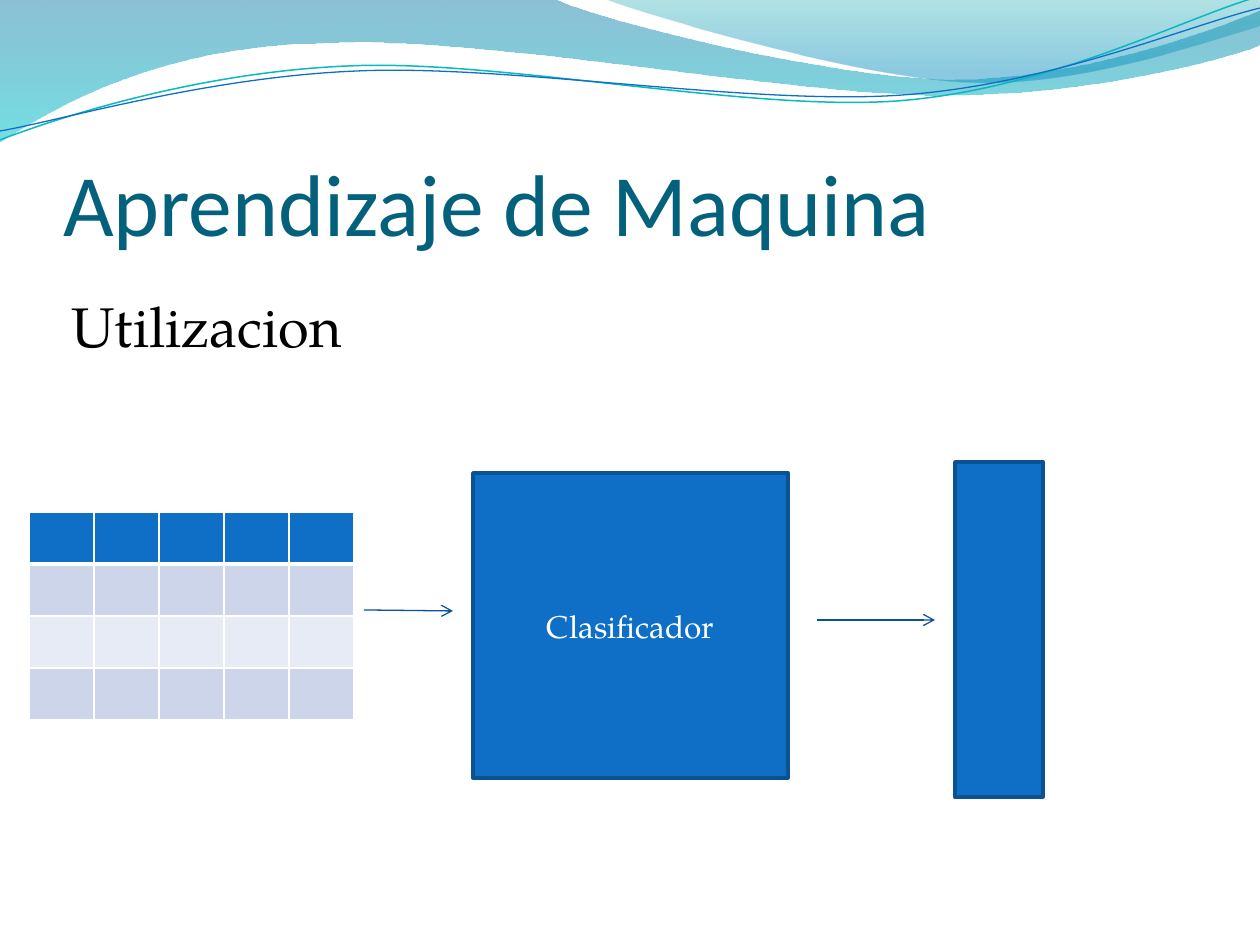
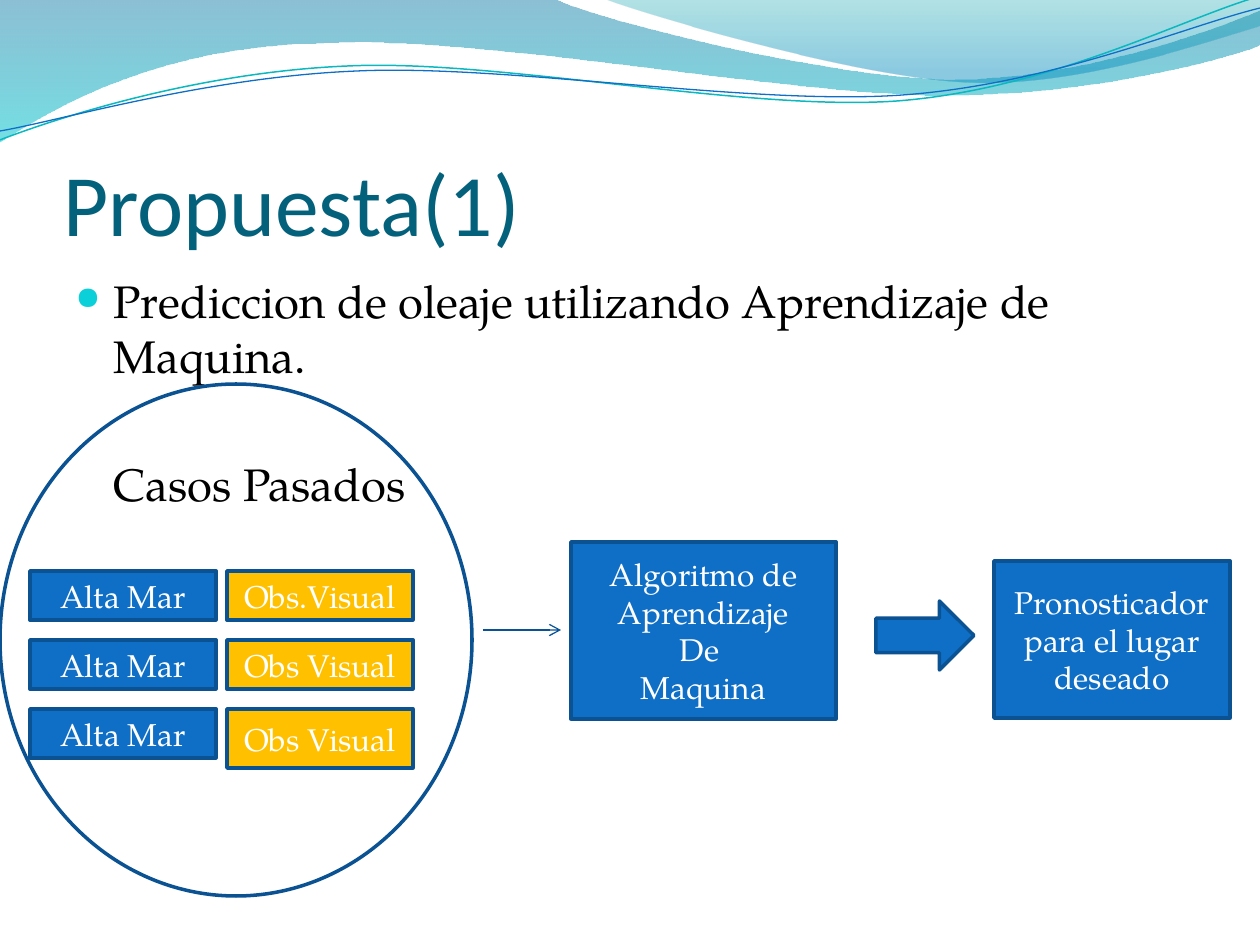
"""Build two slides on wave forecasting with machine learning."""
from dataclasses import dataclass
from math import cos, radians, sin

from lxml.etree import SubElement
from pptx import Presentation
from pptx.dml.color import RGBColor
from pptx.enum.shapes import MSO_CONNECTOR, MSO_SHAPE
from pptx.enum.text import MSO_ANCHOR, MSO_AUTO_SIZE, PP_ALIGN
from pptx.oxml.ns import qn
from pptx.util import Emu, Pt


@dataclass(frozen=True)
class Theme:
    head: str = "Calibri"
    body: str = "TeX Gyre Pagella"
    title: str = "04617B"
    ink: str = "000000"
    white: str = "FFFFFF"
    blue: str = "0F6FC6"
    edge: str = "0B5292"
    arrow: str = "095295"
    gold: str = "FFC000"
    teal: str = "0AB8BF"
    dot: str = "0BD0D9"
    dark: str = "CCD5EA"
    light: str = "E7EBF5"
    title_size: int = 50
    sub_size: int = 32
    text_size: int = 26
    box_size: int = 18


T = Theme()
WIDE, HIGH = 1260, 945
TITLE = (63, 97, 1134, 157)
RECT, OVAL, ARROW = MSO_SHAPE.RECTANGLE, MSO_SHAPE.OVAL, MSO_SHAPE.RIGHT_ARROW

BANDS = [
    ([(0, 0), (554, -1), (600, 21, 837, 79, 955, 79), (1075, 79, 1207, 33, 1260, 11),
      (1261, 45), (1239, 55, 1096, 96, 940, 95), (784, 95, 481, 35, 324, 43),
      (163, 45, 58, 105, -1, 142)],
     [(0, "0074A1", 45), (1, "00C6CF", 55)]),
    ([(604, -1), (641, 14, 859, 78, 969, 82), (1079, 87, 1211, 40, 1260, 26), (1260, 0)],
     [(0, "00A1A9", 30), (0.8, "008BBF", 45)]),
]
WAVES = [
    ([(0, 140), (60, 117, 199, 72, 349, 66), (498, 59, 747, 112, 898, 101),
      (1050, 89, 1182, 19, 1257, -3)], T.teal, 0.85),
    ([(0, 131), (59, 121, 207, 77, 357, 71), (507, 64, 752, 106, 903, 95),
      (1053, 84, 1186, 26, 1260, 8)], T.blue, 0.75),
]
WAVE_MID, WAVE_TILT = (629, 72), 2.7

CASES = [("Alta Mar", "Obs.Visual", 49), ("Alta Mar", "Obs Visual", 49),
         ("Alta Mar", "Obs Visual", 59)]
CASE_TOP, CASE_STEP, CASE_WIDE, SEA_LEFT, OBS_LEFT = 571, 69, 186, 30, 227

USE = {
    "title": "Aprendizaje de Maquina",
    "text": ((59, 285, 837, 81), ["Utilizacion"], {"size": T.sub_size}),
    "grid": ((29, 512), (65, 52), (5, 4)),
    "boxes": [
        (RECT, (473, 473, 315, 305), ["Clasificador"], T.blue),
        (RECT, (955, 462, 88, 335), [], T.blue),
    ],
    "arrows": [(364, 610, 453, 611), (817, 620, 935, 620)],
}
PLAN = {
    "title": "Propuesta(1)",
    "text": ((63, 267, 1134, 605),
             ["Prediccion de oleaje utilizando Aprendizaje de Maquina.", "Casos Pasados"],
             {"size": T.text_size, "left": 38, "bullets": 1, "gap": 42}),
    "boxes": [
        (RECT, (571, 542, 265, 177),
         ["Algoritmo de Aprendizaje", "De ", "Maquina"], T.blue),
        (ARROW, (876, 601, 98, 69), [], T.blue),
        (RECT, (994, 561, 236, 157), ["Pronosticador", "para el lugar deseado"], T.blue),
        (OVAL, (0, 384, 472, 512), [], None),
    ],
    "arrows": [(483, 630, 561, 630)],
}
for row, (sea, obs, tall) in enumerate(CASES):
    top = CASE_TOP + row * CASE_STEP
    PLAN["boxes"] += [
        (RECT, (SEA_LEFT, top, CASE_WIDE, 49), [sea], T.blue),
        (RECT, (OBS_LEFT, top, CASE_WIDE, tall), [obs], T.gold),
    ]


def px(*nums):
    return [Emu(round(num * 914400 / 126)) for num in nums]


def paint(fill, color):
    fill.solid()
    fill.fore_color.rgb = RGBColor.from_string(color)


def stroke(line, color, width):
    paint(line.fill, color)
    line.width = Pt(width)


def write(shape, lines, size=T.box_size, color=T.ink, font=T.body, align=PP_ALIGN.LEFT,
          anchor=MSO_ANCHOR.TOP, left=0, bullets=0, gap=0):
    frame = shape.text_frame
    frame.word_wrap = True
    frame.auto_size = MSO_AUTO_SIZE.NONE
    frame.vertical_anchor = anchor
    for num, line in enumerate(lines):
        para = frame.add_paragraph() if num else frame.paragraphs[0]
        para.alignment = align
        para.space_before = Pt(gap if num else 0)
        props = para._p.get_or_add_pPr()
        if left:
            props.set("marL", str(px(left)[0]))
            props.set("indent", str(-px(left)[0] if num < bullets else 0))
        if num < bullets:
            SubElement(SubElement(props, qn("a:buClr")), qn("a:srgbClr"), val=T.dot)
            SubElement(props, qn("a:buSzPct"), val="70000")
            SubElement(props, qn("a:buChar"), char="●")
        run = para.add_run()
        run.text = line
        run.font.name, run.font.size = font, Pt(size)
        run.font.color.rgb = RGBColor.from_string(color)


def spin(point, angle):
    (mid_x, mid_y), turn = WAVE_MID, radians(angle)
    x, y = point[0] - mid_x, point[1] - mid_y
    return (mid_x + x * cos(turn) - y * sin(turn), mid_y + x * sin(turn) + y * cos(turn))


def outline(slide, path, close, tilt=0):
    pairs = [part[at:at + 2] for part in path for at in range(0, len(part), 2)]
    points = [px(*spin(pair, tilt)) for pair in pairs]
    pen = slide.shapes.build_freeform(*points[0], scale=1.0)
    pen.add_line_segments(points[1:], close=close)
    shape = pen.convert_to_shape()
    shape.shadow.inherit = False
    shape.rotation = -tilt % 360
    lines = iter(list(shape.element.spPr.iter(qn("a:lnTo"))))
    for part in path[1:]:
        first = next(lines)
        if len(part) == 6:
            first.tag = qn("a:cubicBezTo")
            for _ in range(2):
                extra = next(lines)
                first.append(extra[0])
                extra.getparent().remove(extra)
    return shape


def dress(slide):
    shapes = []
    for path, stops in BANDS:
        shape = outline(slide, path, True)
        shape.line.fill.background()
        shape.fill.gradient()
        shape.fill.gradient_angle = 270
        for stop, (place, color, _) in zip(shape.fill.gradient_stops, stops):
            stop.position = place
            stop.color.rgb = RGBColor.from_string(color)
        tints = shape.element.spPr.iter(qn("a:srgbClr"))
        for tint, (_, _, alpha) in zip(tints, stops):
            SubElement(tint, qn("a:alpha"), val=str(alpha * 1000))
        shapes.append(shape)
    for path, color, width in WAVES:
        shape = outline(slide, path, False, WAVE_TILT)
        shape.fill.background()
        stroke(shape.line, color, width)
        shapes.append(shape)
    tree = slide.slide_layout.shapes.element
    for num, shape in enumerate(shapes):
        shape.element.nvSpPr.cNvPr.set("id", str(50 + num))
        tree.insert(2 + num, shape.element)


def head(slide, text):
    title = slide.shapes.title
    title.left, title.top, title.width, title.height = px(*TITLE)
    frame = title.text_frame
    frame.margin_left = frame.margin_right = frame.margin_bottom = 0
    frame.margin_top = px(6)[0]
    write(title, [text], size=T.title_size, color=T.title, font=T.head,
          anchor=MSO_ANCHOR.BOTTOM)


def grid(slide, start, cell_size, shape):
    (wide, tall), (cols, rows) = cell_size, shape
    frame = slide.shapes.add_table(rows, cols, *px(*start, wide * cols, tall * rows))
    table = frame.table
    for col in table.columns:
        col.width = px(wide)[0]
    for num, row in enumerate(table.rows):
        row.height = px(tall)[0]
        for cell in row.cells:
            props = cell._tc.get_or_add_tcPr()
            for side in "LRTB":
                thick = (side, num) in (("B", 0), ("T", 1))
                line = SubElement(props, qn(f"a:ln{side}"), w=str(Pt(3 if thick else 1)))
                SubElement(SubElement(line, qn("a:solidFill")), qn("a:srgbClr"), val=T.white)
            paint(cell.fill, (T.dark if num % 2 else T.light) if num else T.blue)


def box(slide, kind, rect, lines, color):
    shape = slide.shapes.add_shape(kind, *px(*rect))
    shape.shadow.inherit = False
    if color:
        paint(shape.fill, color)
    else:
        shape.fill.background()
    stroke(shape.line, T.edge, 2)
    write(shape, lines, color=T.white, align=PP_ALIGN.CENTER, anchor=MSO_ANCHOR.MIDDLE)


def link(slide, ends):
    line = slide.shapes.add_connector(MSO_CONNECTOR.STRAIGHT, *px(*ends))
    stroke(line.line, T.arrow, 0.75)
    SubElement(line.line._get_or_add_ln(), qn("a:tailEnd"), type="arrow")
    SubElement(line.element.spPr, qn("a:effectLst"))


def main():
    deck = Presentation()
    deck.slide_width, deck.slide_height = px(WIDE, HIGH)
    for num, page in enumerate((USE, PLAN)):
        slide = deck.slides.add_slide(deck.slide_layouts[5])
        if num == 0:
            dress(slide)
        head(slide, page["title"])
        rect, lines, style = page["text"]
        write(slide.shapes.add_textbox(*px(*rect)), lines, **style)
        if "grid" in page:
            grid(slide, *page["grid"])
        for item in page["boxes"]:
            box(slide, *item)
        for ends in page["arrows"]:
            link(slide, ends)
    deck.save("out.pptx")


if __name__ == "__main__":
    main()
